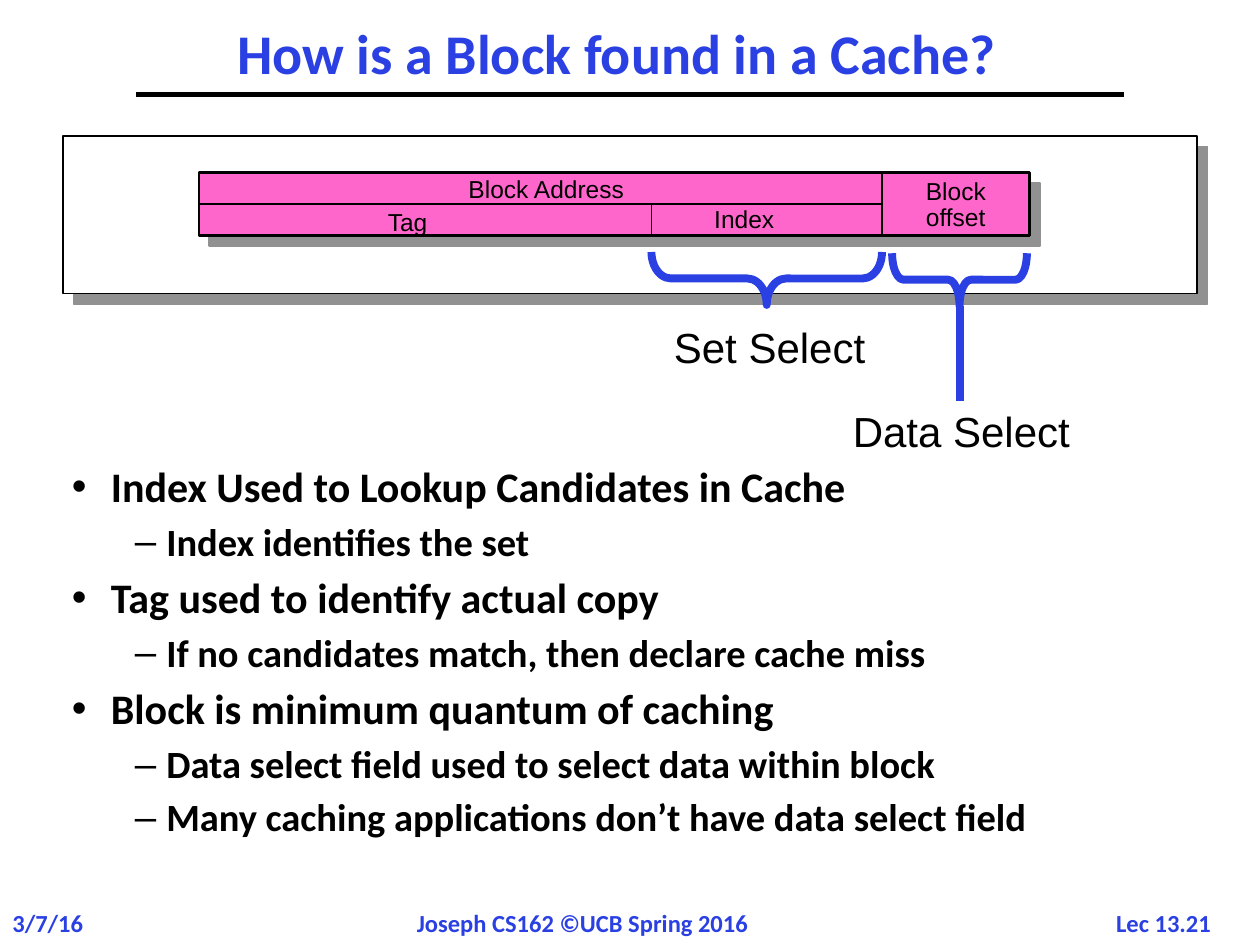
from lxml.etree import SubElement
from pptx import Presentation
from pptx.dml.color import RGBColor
from pptx.enum.shapes import MSO_CONNECTOR, MSO_SHAPE
from pptx.enum.text import MSO_ANCHOR, PP_ALIGN
from pptx.oxml.ns import qn
from pptx.util import Inches, Pt

BLUE, BLACK, WHITE, PINK, GRAY = "2A40E2", "000000", "FFFFFF", "FF66CC", "919191"

TITLE = "How is a Block found in a Cache?"
BULLETS = [  # level, text
    (0, "Index Used to Lookup Candidates in Cache"),
    (1, "Index identifies the set"),
    (0, "Tag used to identify actual copy"),
    (1, "If no candidates match, then declare cache miss"),
    (0, "Block is minimum quantum of caching"),
    (1, "Data select field used to select data within block"),
    (1, "Many caching applications don’t have data select field"),
]
BULLET_STYLES = [  # mark, size, left margin, hanging indent
    ("•", 24, 0.31, 0.31),
    ("–", 22, 0.75, 0.25),
]
FOOTERS = [  # text, left, width, alignment
    ("3/7/16", 0, 1, PP_ALIGN.LEFT),
    ("Joseph CS162 ©UCB Spring 2016", 3.21, 2.87, PP_ALIGN.LEFT),
    ("Lec 13.21", 8.72, 1.03, PP_ALIGN.CENTER),
]

# Edges of the address fields
TAG_LEFT, INDEX_LEFT, OFFSET_LEFT, OFFSET_RIGHT = 1.58, 5.17, 7, 8.17
ADDRESS_TOP, ADDRESS_MIDDLE, ADDRESS_BOTTOM = 1.37, 1.62, 1.87
RECTANGLES = [  # left, top, right, bottom, fill, line width, shadow
    (0.5, 1.08, 9.5, 2.33, WHITE, 1, True),
    (TAG_LEFT, ADDRESS_TOP, OFFSET_RIGHT, ADDRESS_BOTTOM, PINK, 1.5, True),
    (TAG_LEFT, ADDRESS_MIDDLE, OFFSET_LEFT, ADDRESS_BOTTOM, None, 1, False),
    (INDEX_LEFT, ADDRESS_MIDDLE, OFFSET_LEFT, ADDRESS_BOTTOM, None, 1, False),
    (OFFSET_LEFT, ADDRESS_TOP, OFFSET_RIGHT, ADDRESS_BOTTOM, None, 1, False),
]
LABELS = [  # lines, left, top, width, height, size, line spacing
    (["Block", "offset"], 7.25, 1.37, 0.68, 0.52, 14, 0.9),
    (["Block Address"], 3.62, 1.33, 1.44, 0.33, 14, 1),
    (["Tag"], 2.98, 1.59, 0.53, 0.33, 14, 1),
    (["Index"], 5.57, 1.57, 0.68, 0.33, 14, 1),
    (["Set Select"], 5.25, 2.5, 1.72, 0.5, 24, 1),
    (["Data Select"], 6.67, 3.17, 1.93, 0.5, 24, 1),
]
BRACE_DEPTH = 0.42
BRACES = [  # left, right, top, curve
    (INDEX_LEFT, OFFSET_LEFT, 2, 0.367),
    (7.08, 8.15, 2.01, 0.214),
]
RULES = [  # from, to, colour, width
    ((1.08, 0.75), (8.92, 0.75), BLACK, 3),
    ((7.62, 2.43), (7.62, 3.18), BLUE, 4.5),
]


def color(value):
    return RGBColor.from_string(value)


def write(para, text, size, font="Calibri", fill=BLACK, bold=False,
          align=PP_ALIGN.LEFT, spacing=1):
    para.alignment = align
    para.line_spacing = spacing
    span = para.add_run()
    span.text = text
    span.font.size = Pt(size)
    span.font.name = font
    span.font.bold = bold
    span.font.color.rgb = color(fill)


def add_text_frame(page, left, top, width, height, wrap=False):
    box = page.shapes.add_textbox(*map(Inches, (left, top, width, height)))
    box.text_frame.word_wrap = wrap
    return box.text_frame


def next_paragraph(frame, index):
    return frame.add_paragraph() if index else frame.paragraphs[0]


def add_shape(page, kind, left, top, width, height, fill, line, line_width):
    shape = page.shapes.add_shape(kind, *map(Inches, (left, top, width, height)))
    shape.shadow.inherit = False
    if fill:
        shape.fill.solid()
        shape.fill.fore_color.rgb = color(fill)
    else:
        shape.fill.background()
    shape.line.color.rgb = color(line)
    shape.line.width = Pt(line_width)
    return shape


def cast_shadow(shape):
    effects = shape._element.spPr.find(qn("a:effectLst"))
    shadow = SubElement(effects, qn("a:outerShdw"), dist=str(Pt(8.5)),
                        dir="2700000", algn="ctr", rotWithShape="0")
    SubElement(shadow, qn("a:srgbClr"), val=GRAY)


def add_brace(page, left, right, top, curve):
    """Place a right brace turned to open upwards under a field."""
    width = right - left
    brace = add_shape(page, MSO_SHAPE.RIGHT_BRACE,
                      (left + right - BRACE_DEPTH) / 2,
                      top + (BRACE_DEPTH - width) / 2,
                      BRACE_DEPTH, width, None, BLUE, 4.5)
    brace.rotation = 90
    brace.adjustments[0] = curve


def add_rule(page, start, end, line, width):
    rule = page.shapes.add_connector(MSO_CONNECTOR.STRAIGHT,
                                     *map(Inches, start + end))
    rule.line.color.rgb = color(line)
    rule.line.width = Pt(width)
    SubElement(rule._element.spPr, qn("a:effectLst"))


def add_title(page):
    title = page.shapes.title
    title.left, title.top, title.width, title.height = map(
        Inches, (0.84, 0.25, 8.11, 0.4))
    title.text_frame.vertical_anchor = MSO_ANCHOR.MIDDLE
    write(title.text_frame.paragraphs[0], TITLE, 32, fill=BLUE, bold=True,
          align=PP_ALIGN.CENTER, spacing=0.9)


def add_bullets(page):
    frame = add_text_frame(page, 0.5, 3.67, 9.08, 3.61, wrap=True)
    frame.margin_left = frame.margin_right = Inches(0.07)
    frame.margin_top = frame.margin_bottom = Inches(0.03)
    for index, (level, text) in enumerate(BULLETS):
        mark, size, margin, hanging = BULLET_STYLES[level]
        para = next_paragraph(frame, index)
        write(para, text, size, bold=True, spacing=0.9)
        para.level = level
        para.space_before = Pt(0.3 * size)
        properties = para._p.get_or_add_pPr()
        properties.set("marL", str(Inches(margin)))
        properties.set("indent", str(-Inches(hanging)))
        SubElement(properties, qn("a:buFont"), typeface="Arial")
        SubElement(properties, qn("a:buChar"), char=mark)


def main():
    deck = Presentation()
    deck.slide_width, deck.slide_height = Inches(10), Inches(7.5)
    page = deck.slides.add_slide(deck.slide_layouts[5])
    add_title(page)
    for text, left, width, align in FOOTERS:
        frame = add_text_frame(page, left, 7.16, width, 0.34)
        write(frame.paragraphs[0], text, 14, fill=BLUE, bold=True, align=align)
    add_bullets(page)
    for left, top, right, bottom, fill, line_width, shadow in RECTANGLES:
        box = add_shape(page, MSO_SHAPE.RECTANGLE, left, top, right - left,
                        bottom - top, fill, BLACK, line_width)
        if shadow:
            cast_shadow(box)
    for lines, left, top, width, height, size, spacing in LABELS:
        frame = add_text_frame(page, left, top, width, height)
        for index, text in enumerate(lines):
            write(next_paragraph(frame, index), text, size, font="Arial",
                  spacing=spacing)
    for brace in BRACES:
        add_brace(page, *brace)
    for rule in RULES:
        add_rule(page, *rule)
    deck.save("out.pptx")


if __name__ == "__main__":
    main()
